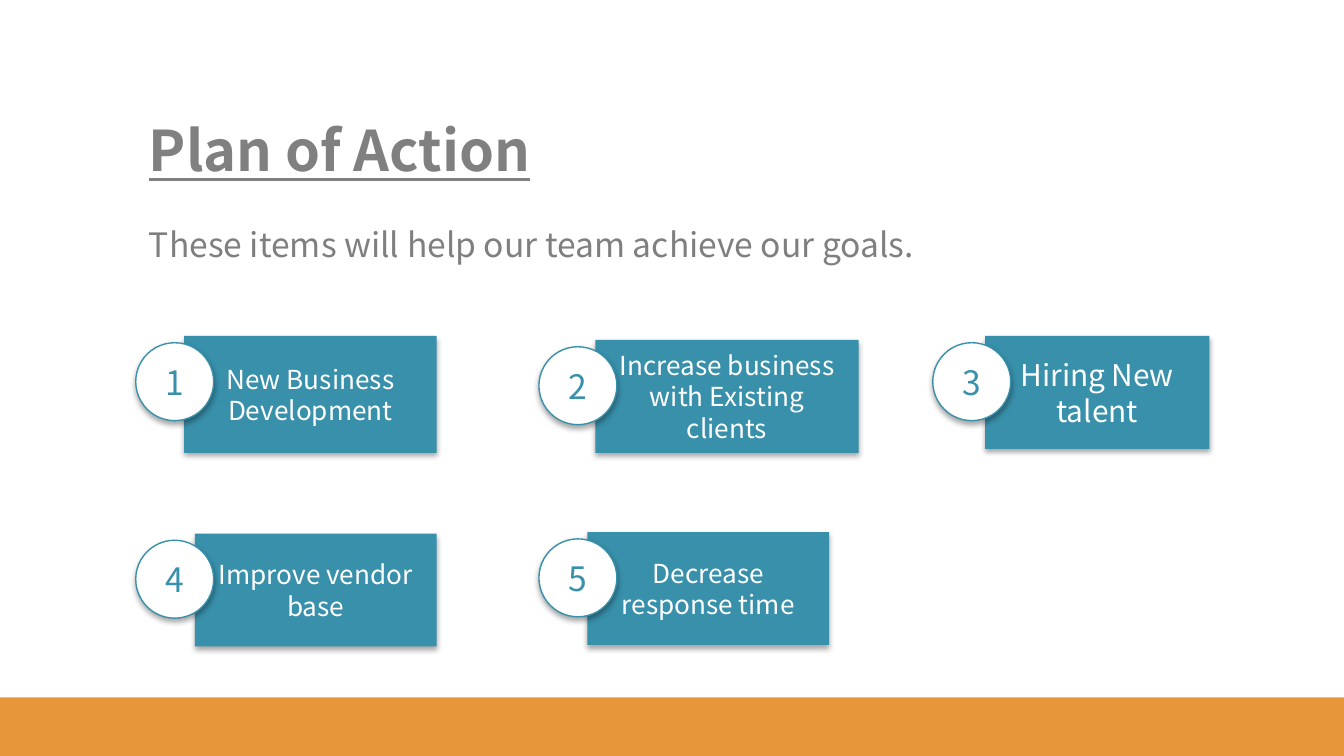
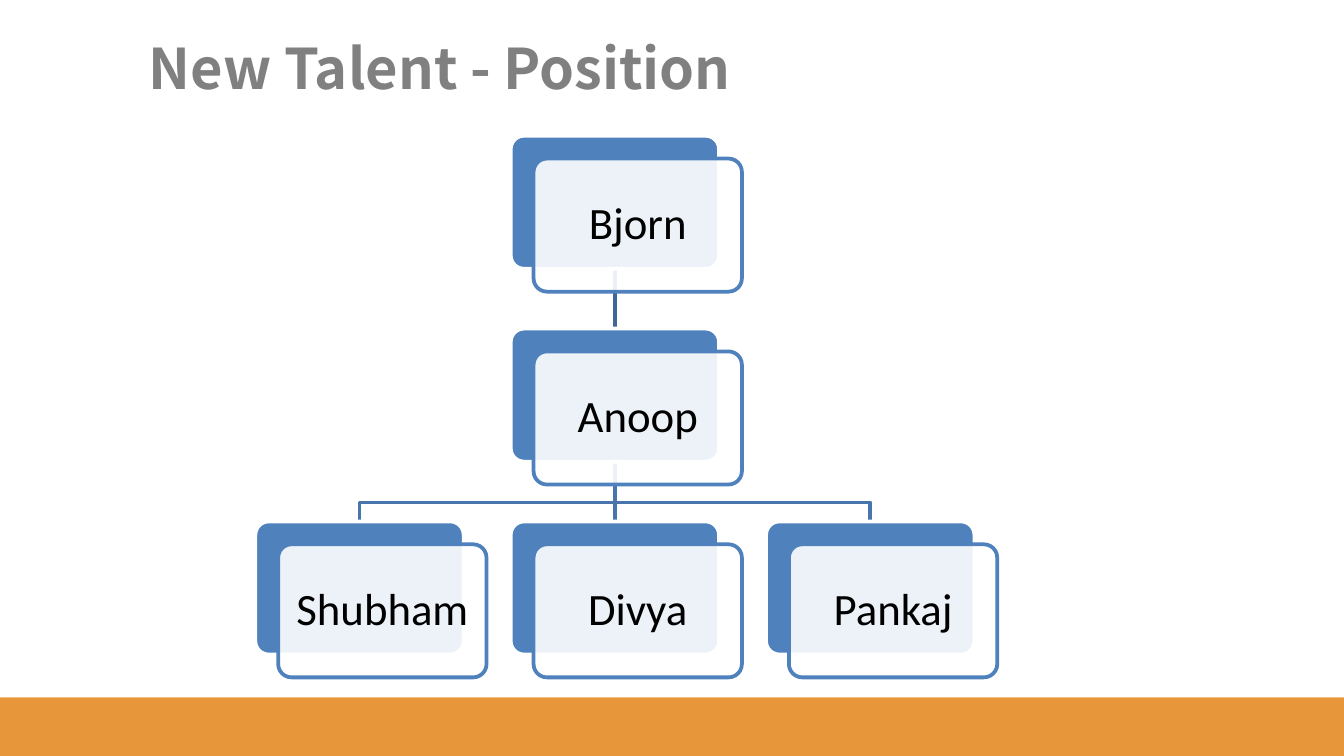
from lxml import etree
from pptx import Presentation
from pptx import util as u
from pptx.dml.color import RGBColor
from pptx.enum import shapes, text
from pptx.oxml.ns import qn

COLORS = {
    "white": "FFFFFF",
    "black": "000000",
    "band": "E7973A",
    "title": "808080",
    "subtitle": "7F7F7F",
    "teal": "3890AB",
    "blue": "4F81BD",
    "upper_link": "3F6797",
    "lower_link": "4875AC",
}
BODY_FONT = "Noto Sans CJK JP"
CHART_FONT = "Calibri"
LEFT = 1.01

BADGE_SIZE = 0.58
BADGE_DROP = 0.05
BADGE_COLUMNS = (LEFT, 4.01, 6.94)
ACTIONS = (
    (["New Business Development"], 14, (1.37, 2.5, 1.88, 0.87)),
    (["Increase business with Existing", "clients"], 14, (4.43, 2.53, 1.96, 0.84)),
    (["Hiring New talent"], 16, (7.33, 2.5, 1.67, 0.84)),
    (["Improve vendor base"], 14, (1.45, 3.97, 1.8, 0.84)),
    (["Decrease response time"], 14, (4.37, 3.96, 1.8, 0.84)),
)

NODE_WIDTH, NODE_HEIGHT = 1.55, 0.99
NODE_OFFSET = 0.17
LABEL_INSET = 0.03
COLUMN_LEFTS = [1.9 + 1.9 * column for column in range(3)]
LEVEL_TOPS = [1.01 + 1.435 * level for level in range(3)]
NODES = (("Bjorn", 1, 0), ("Anoop", 1, 1), ("Shubham", 0, 2), ("Divya", 1, 2), ("Pankaj", 2, 2))


def color(name):
    return RGBColor.from_string(COLORS[name])


def frame_of(lengths):
    return [u.Inches(length) for length in lengths]


def write(shape, lines, size, tint, font=BODY_FONT, align=None, bold=None, underline=None):
    frame = shape.text_frame
    frame.word_wrap = True
    for index, line in enumerate(lines):
        para = frame.add_paragraph() if index else frame.paragraphs[0]
        para.alignment = align
        span = para.add_run()
        span.text = line
        span.font.name = font
        span.font.size = u.Pt(size)
        span.font.bold = bold
        span.font.underline = underline
        span.font.color.rgb = color(tint)
    return frame


def add_text(page, place, line, size, tint, **style):
    box = page.shapes.add_textbox(*frame_of(place))
    write(box, [line], size, tint, **style).auto_size = text.MSO_AUTO_SIZE.SHAPE_TO_FIT_TEXT


def add_title(page, place, line, underline=None):
    add_text(page, place, line, 30, "title", bold=True, underline=underline)


def add_block(page, kind, place, fill, outline=None, weight=0.75):
    shape = page.shapes.add_shape(kind, *frame_of(place))
    shape.shadow.inherit = False
    shape.fill.solid()
    shape.fill.fore_color.rgb = color(fill)
    if outline:
        shape.line.color.rgb = color(outline)
        shape.line.width = u.Pt(weight)
    else:
        shape.line.fill.background()
    return shape


def add_alpha(holder, percent):
    etree.SubElement(holder, qn("a:alpha"), val=str(percent * 1000))


def drop_shadow(shape):
    effects = shape._element.spPr.find(qn("a:effectLst"))
    shadow = etree.SubElement(
        effects, qn("a:outerShdw"), blurRad=str(u.Pt(3.1)), dist=str(u.Pt(1.8)),
        dir="5400000", algn="t", rotWithShape="0",
    )
    add_alpha(etree.SubElement(shadow, qn("a:srgbClr"), val=COLORS["black"]), 35)


def add_raised_block(page, kind, place, fill, lines, size, tint, outline=None):
    shape = add_block(page, kind, place, fill, outline)
    drop_shadow(shape)
    frame = write(shape, lines, size, tint, align=text.PP_ALIGN.CENTER)
    frame.vertical_anchor = text.MSO_ANCHOR.MIDDLE


def add_action(page, index, lines, size, place):
    add_raised_block(page, shapes.MSO_SHAPE.RECTANGLE, place, "teal", lines, size, "white")
    badge = (BADGE_COLUMNS[index % 3], place[1] + BADGE_DROP, BADGE_SIZE, BADGE_SIZE)
    add_raised_block(page, shapes.MSO_SHAPE.OVAL, badge, "white", [str(index + 1)], 18, "teal", "teal")


def add_node(page, name, column, level):
    left, top = COLUMN_LEFTS[column], LEVEL_TOPS[level]
    for offset, fill, outline in ((0, "blue", "white"), (NODE_OFFSET, "white", "blue")):
        place = (left + offset, top + offset, NODE_WIDTH, NODE_HEIGHT)
        card = add_block(page, shapes.MSO_SHAPE.ROUNDED_RECTANGLE, place, fill, outline, 2)
        card.adjustments[0] = 0.1
    add_alpha(card._element.spPr.find(qn("a:solidFill"))[0], 90)
    inset = NODE_OFFSET + LABEL_INSET
    label = page.shapes.add_textbox(*frame_of((
        left + inset, top + inset, NODE_WIDTH - 2 * LABEL_INSET, NODE_HEIGHT - 2 * LABEL_INSET,
    )))
    frame = write(label, [name], 24, "black", CHART_FONT, text.PP_ALIGN.CENTER)
    frame.paragraphs[0].line_spacing = 0.9
    frame.vertical_anchor = text.MSO_ANCHOR.MIDDLE
    frame.margin_left = frame.margin_right = u.Inches(0.1)
    frame.margin_top = frame.margin_bottom = u.Inches(0.1)


def style_link(link, tint):
    link.line.color.rgb = color(tint)
    link.line.width = u.Pt(2)


def add_straight_link(page, level, tint):
    middle = COLUMN_LEFTS[1] + NODE_WIDTH / 2
    ends = (middle, LEVEL_TOPS[level] + NODE_HEIGHT, middle, LEVEL_TOPS[level + 1])
    link = page.shapes.add_connector(shapes.MSO_CONNECTOR.STRAIGHT, *frame_of(ends))
    etree.SubElement(link._element.spPr, qn("a:effectLst"))
    style_link(link, tint)


def add_branch(page, column):
    start, end = (COLUMN_LEFTS[place] + NODE_WIDTH / 2 for place in (1, column))
    bottom = LEVEL_TOPS[2]
    bend = bottom - 0.14
    points = [(start, bend), (end, bend), (end, bottom)]
    outline = page.shapes.build_freeform(*frame_of((start, LEVEL_TOPS[1] + NODE_HEIGHT)))
    outline.add_line_segments([frame_of(point) for point in points], close=False)
    branch = outline.convert_to_shape()
    branch.shadow.inherit = False
    branch.fill.background()
    style_link(branch, "lower_link")


def add_page(deck):
    page = deck.slides.add_slide(deck.slide_layouts[6])
    page.background.fill.solid()
    page.background.fill.fore_color.rgb = color("white")
    add_block(page, shapes.MSO_SHAPE.RECTANGLE, (0, 5.19, 10, 0.44), "band")
    return page


def build_plan(deck):
    page = add_page(deck)
    add_title(page, (LEFT, 0.81, 4.99, 0.61), "Plan of Action", underline=True)
    subtitle = "These items will help our team achieve our goals."
    add_text(page, (LEFT, 1.62, 7.95, 0.4), subtitle, 18, "subtitle")
    for index, action in enumerate(ACTIONS):
        add_action(page, index, *action)


def build_positions(deck):
    page = add_page(deck)
    add_title(page, (LEFT, 0.2, 8.99, 0.61), "New Talent - Position")
    add_branch(page, 2)
    add_straight_link(page, 1, "lower_link")
    add_branch(page, 0)
    add_straight_link(page, 0, "upper_link")
    for node in NODES:
        add_node(page, *node)


def main():
    deck = Presentation()
    deck.slide_width = u.Inches(10)
    deck.slide_height = deck.slide_width * 9 // 16
    build_plan(deck)
    build_positions(deck)
    deck.save("out.pptx")


if __name__ == "__main__":
    main()
